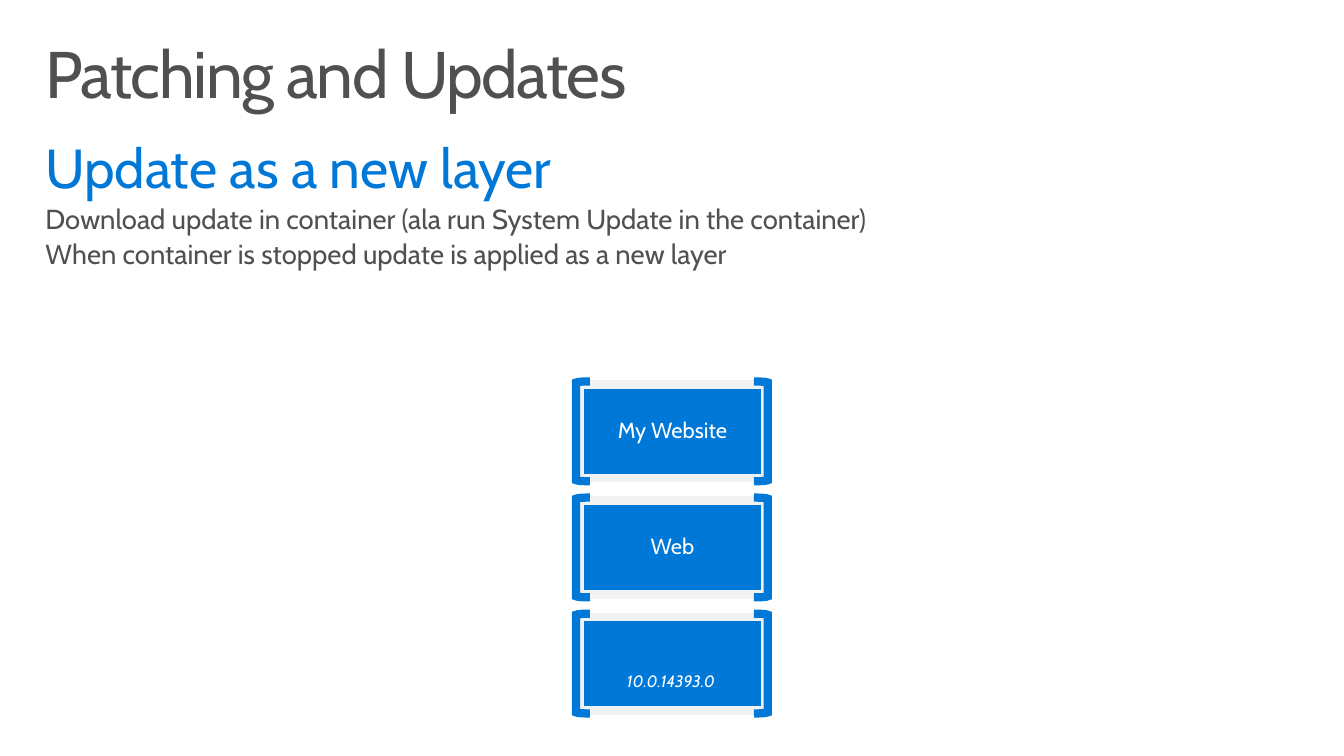
from lxml import etree
from pptx import Presentation
from pptx.dml.color import RGBColor
from pptx.enum.shapes import MSO_SHAPE
from pptx.enum.text import MSO_ANCHOR, MSO_AUTO_SIZE, PP_ALIGN
from pptx.oxml.ns import qn
from pptx.util import Inches, Pt

RECTANGLE = MSO_SHAPE.RECTANGLE
LEFT_BRACKET = MSO_SHAPE.LEFT_BRACKET
RIGHT_BRACKET = MSO_SHAPE.RIGHT_BRACKET
TOP, MIDDLE = MSO_ANCHOR.TOP, MSO_ANCHOR.MIDDLE
LEFT, CENTER = PP_ALIGN.LEFT, PP_ALIGN.CENTER
NO_AUTOFIT = MSO_AUTO_SIZE.NONE

BLUE, GRAY, LIGHT, WHITE = "0078D7", "505050", "F2F2F2", "FFFFFF"


def color(hex_string):
    return RGBColor.from_string(hex_string)


class SlideBuilder:
    font_name = "Cabin"
    line_spacing = 0.9
    border = Pt(6)

    def __init__(self, slide):
        self.slide = slide

    def format_paragraph(self, paragraph, size, hex_string, align=LEFT, italic=False):
        paragraph.alignment = align
        paragraph.line_spacing = self.line_spacing
        paragraph.space_before = Pt(0)
        for run in paragraph.runs:
            run.font.name = self.font_name
            run.font.size = Pt(size)
            run.font.italic = italic
            run.font.color.rgb = color(hex_string)

    def format_frame(self, frame, anchor, side, edge):
        frame.word_wrap = True
        frame.auto_size = NO_AUTOFIT
        frame.vertical_anchor = anchor
        frame.margin_left = frame.margin_right = Inches(side)
        frame.margin_top = frame.margin_bottom = Inches(edge)

    def place(self, shape, left, top, width, height):
        shape.left, shape.top = Inches(left), Inches(top)
        shape.width, shape.height = Inches(width), Inches(height)

    def title(self, text, *box):
        shape = self.slide.shapes.title
        self.place(shape, *box)
        self.format_frame(shape.text_frame, TOP, 0.16, 0.1)
        shape.text_frame.text = text
        paragraph = shape.text_frame.paragraphs[0]
        self.format_paragraph(paragraph, 48, GRAY)
        paragraph.runs[0].font._element.set("spc", "-100")

    def body(self, heading, details, *box):
        shape = self.slide.placeholders[1]
        self.place(shape, *box)
        frame = shape.text_frame
        self.format_frame(frame, TOP, 0.16, 0.1)
        frame.text = "\n".join([heading, *details])
        for index, paragraph in enumerate(frame.paragraphs):
            properties = paragraph._p.get_or_add_pPr()
            etree.SubElement(properties, qn("a:buNone"))
            if index == 0:
                self.format_paragraph(paragraph, 40, BLUE)
            else:
                paragraph.level = 1
                self.format_paragraph(paragraph, 20, GRAY)
                paragraph.space_before = Pt(4)
            properties.set("marL", "0")
            properties.set("indent", "0")

    def outlined_shape(self, kind, line_color, *box):
        shape = self.slide.shapes.add_shape(kind, *map(Inches, box))
        shape.shadow.inherit = False
        shape.fill.background()
        shape.line.color.rgb = color(line_color)
        shape.line.width = self.border
        etree.SubElement(shape.line._ln, qn("a:miter"), lim="800000")
        return shape

    def layer(self, top, name=None):
        """Draw one container layer: a tile held between two brackets."""
        tile = self.outlined_shape(RECTANGLE, LIGHT, 5.87, top, 1.87, 0.95)
        tile.fill.solid()
        tile.fill.fore_color.rgb = color(BLUE)
        if name:
            self.format_frame(tile.text_frame, MIDDLE, 0.2, 0.16)
            tile.text_frame.text = name
            self.format_paragraph(tile.text_frame.paragraphs[0], 16, WHITE, CENTER)
        for kind, left in ((RIGHT_BRACKET, 7.63), (LEFT_BRACKET, 5.83)):
            self.outlined_shape(kind, BLUE, left, top - 0.03, 0.14, 1.01)

    def version_label(self, text, *box):
        frame = self.slide.shapes.add_textbox(*map(Inches, box)).text_frame
        self.format_frame(frame, TOP, 0.2, 0.16)
        frame.text = text
        self.format_paragraph(frame.paragraphs[0], 12, WHITE, CENTER, italic=True)


def main():
    presentation = Presentation()
    presentation.slide_width = Inches(13.6)
    presentation.slide_height = Inches(7.65)
    builder = SlideBuilder(presentation.slides.add_slide(presentation.slide_layouts[1]))

    builder.title("Patching and Updates", 0.3, 0.32, 13, 1)
    builder.body(
        "Update as a new layer",
        [
            "Download update in container (ala run System Update in the container)",
            "When container is stopped update is applied as a new layer",
        ],
        0.3, 1.33, 13, 1.55,
    )

    base_top, layer_pitch = 6.24, 1.175
    for level, name in enumerate([None, "Web", "My Website"]):
        builder.layer(base_top - level * layer_pitch, name)
    builder.version_label("10.0.14393.0", 5.9, 6.65, 1.78, 0.43)

    presentation.save("out.pptx")


if __name__ == "__main__":
    main()
